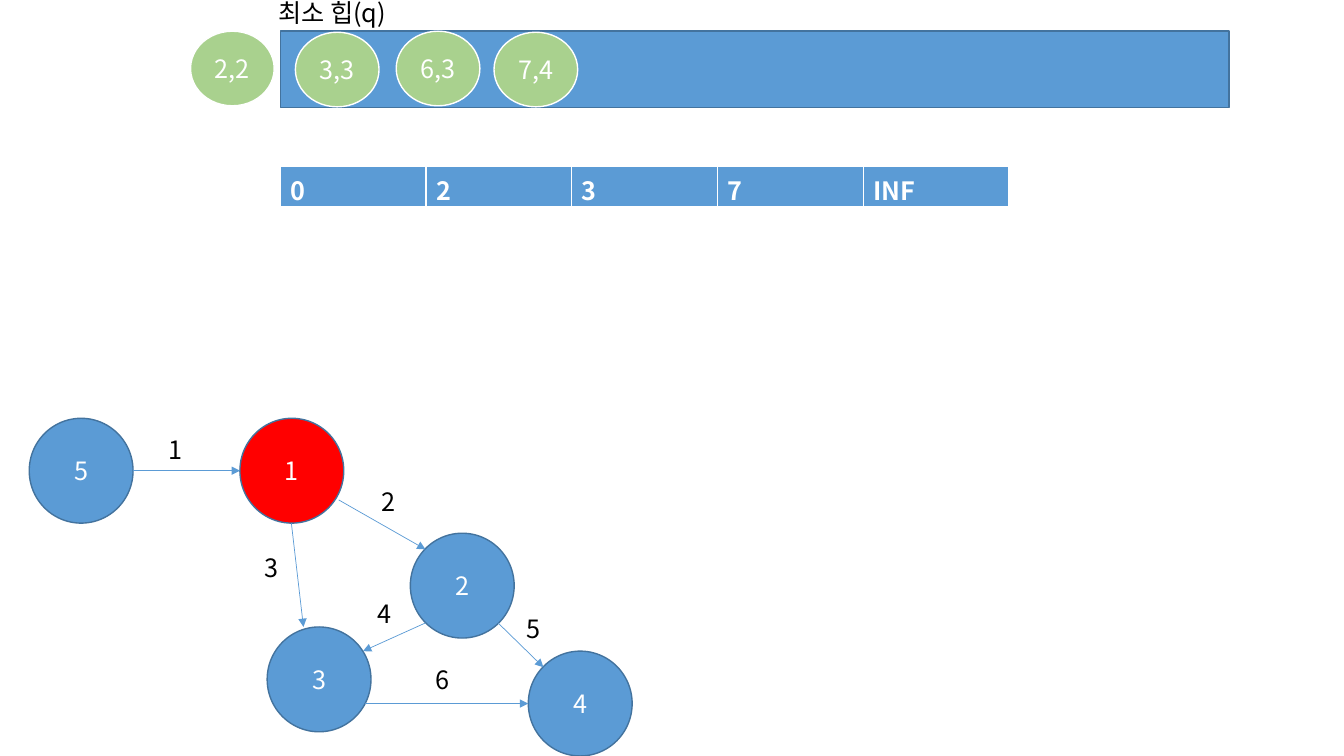
from lxml.etree import SubElement
from pptx import Presentation
from pptx.dml.color import RGBColor
from pptx.enum.shapes import MSO_CONNECTOR, MSO_SHAPE
from pptx.enum.text import MSO_ANCHOR, PP_ALIGN
from pptx.oxml import parse_xml
from pptx.oxml.ns import nsdecls, qn
from pptx.util import Pt

SCALE = 9144  # 100 px to the inch
FONT = "Noto Sans CJK KR"
COLORS = {"blue": "5B9BD5", "edge": "43739E", "red": "FF0000",
          "green": "A9D18E", "white": "FFFFFF", "black": "000000"}


def px(*nums):
    return [n * SCALE for n in nums]


def color(name):
    return RGBColor.from_string(COLORS[name])


def write(frame, text, ink, bold=False):
    run = frame.paragraphs[0].add_run()
    run.text = text
    font = run.font
    font.name, font.size, font.bold = FONT, Pt(18), bold
    font.color.rgb = color(ink)
    props = run._r.get_or_add_rPr()
    SubElement(props, qn("a:ea")).set("typeface", FONT)


def shape(slide, kind, box, fill, line, text=""):
    item = slide.shapes.add_shape(kind, *px(*box))
    item.shadow.inherit = False
    item.fill.solid()
    item.fill.fore_color.rgb = color(fill)
    item.line.color.rgb = color(line)
    item.line.width = Pt(1)
    if text:
        frame = item.text_frame
        frame.vertical_anchor = MSO_ANCHOR.MIDDLE
        frame.paragraphs[0].alignment = PP_ALIGN.CENTER
        write(frame, text, "white")


def label(slide, x, y, wide, text):
    frame = slide.shapes.add_textbox(*px(x, y, wide, 40)).text_frame
    frame.word_wrap = True
    write(frame, text, "black")


def arrow(slide, x1, y1, x2, y2):
    link = slide.shapes.add_connector(MSO_CONNECTOR.STRAIGHT, *px(x1, y1, x2, y2))
    link.line.color.rgb = color("blue")
    link.line.width = Pt(0.5)
    SubElement(link.line._get_or_add_ln(), qn("a:tailEnd")).set("type", "triangle")
    SubElement(link._element.spPr, qn("a:effectLst"))


def graph(slide, left, top):
    # Nodes: name, offset, fill
    nodes = [("5", 0, 0, "blue"), ("1", 209, 0, "red"), ("2", 378, 114, "blue"),
             ("3", 236, 207, "blue"), ("4", 495, 231, "blue")]
    for name, x, y, fill in nodes:
        shape(slide, MSO_SHAPE.OVAL, (left + x, top + y, 103, 104),
              fill, "edge", name)

    # Edges, numbered in order: start, end, label corner
    edges = [((103, 52), (209, 52), (128, 11)),
             ((307, 81), (393, 130), (340, 63)),
             ((260, 104), (272, 207), (224, 128)),
             ((393, 203), (331, 231), (336, 174)),
             ((465, 203), (510, 247), (483, 189)),
             ((333, 283), (495, 283), (393, 239))]
    for num, ((x1, y1), (x2, y2), (x, y)) in enumerate(edges, 1):
        arrow(slide, left + x1, top + y1, left + x2, top + y2)
        label(slide, left + x, top + y, 53, str(num))


def heap(slide, left, top, wide, high):
    # Bar and title
    shape(slide, MSO_SHAPE.RECTANGLE, (left, top, wide, high), "blue", "edge")
    label(slide, left - 12, top - 39, 226, "최소 힙(q)")

    # Queued pairs, the first one already taken out
    pairs = [("2,2", -89, 0), ("3,3", 15, 1), ("6,3", 115, 0), ("7,4", 212, 1)]
    for text, x, y in pairs:
        shape(slide, MSO_SHAPE.OVAL, (left + x, top + y, 83, 74),
              "green", "white", text)


def border(cell):
    props = cell._tc.get_or_add_tcPr()
    for at, (side, size) in enumerate([("L", 1), ("R", 1), ("T", 1), ("B", 3)]):
        props.insert(at, parse_xml(
            f'<a:ln{side} {nsdecls("a")} w="{Pt(size)}"><a:solidFill>'
            f'<a:srgbClr val="{COLORS["white"]}"/></a:solidFill></a:ln{side}>'))


def costs(slide, left, top, wide, high):
    vals = ["0", "2", "3", "7", "INF"]
    grid = slide.shapes.add_table(1, len(vals), *px(left, top, wide, high)).table
    grid.horz_banding = False
    for cell, text in zip(grid.iter_cells(), vals):
        cell.fill.solid()
        cell.fill.fore_color.rgb = color("blue")
        border(cell)
        write(cell.text_frame, text, "white", True)


def main():
    deck = Presentation()
    deck.slide_width, deck.slide_height = px(1333, 750)
    slide = deck.slides.add_slide(deck.slide_layouts[6])
    graph(slide, 29, 415)
    heap(slide, 278, 31, 941, 76)
    costs(slide, 278, 165, 723, 41)
    deck.save("out.pptx")


if __name__ == "__main__":
    main()
